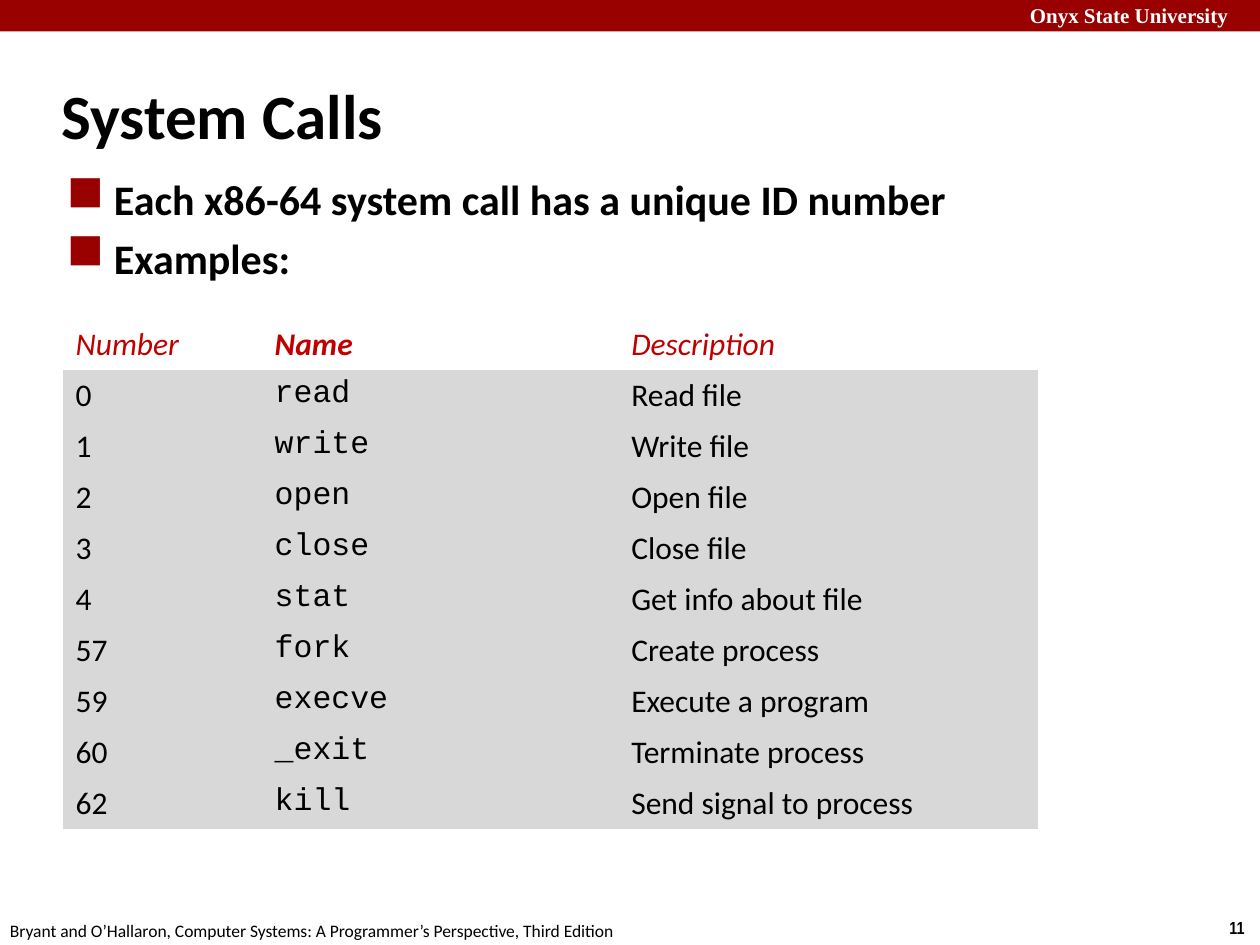
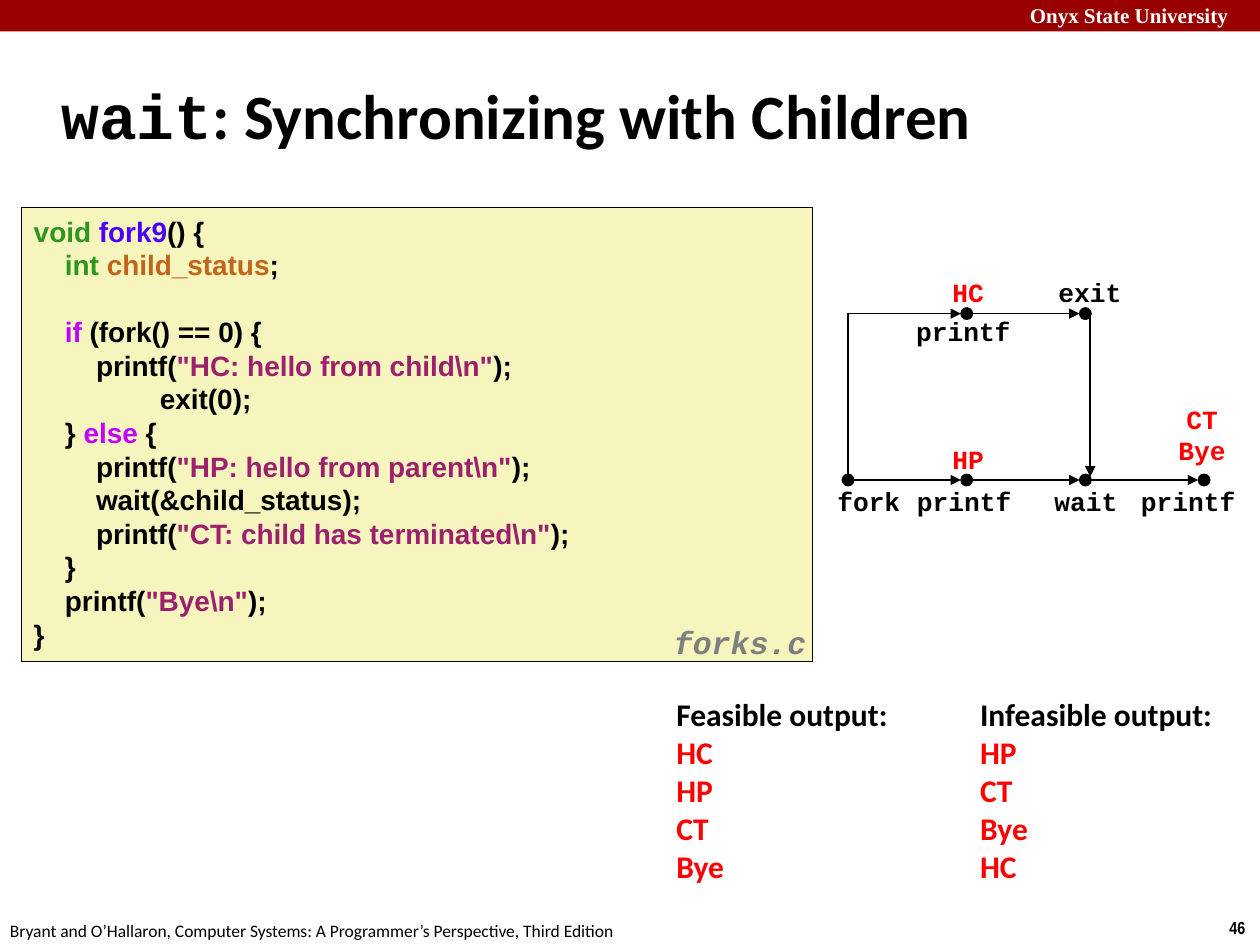
"""Builds two lecture slides on system calls and on waiting for child processes."""
from lxml import etree
from pptx import Presentation
from pptx.dml.color import RGBColor
from pptx.enum.shapes import MSO_CONNECTOR, MSO_SHAPE
from pptx.enum.text import MSO_ANCHOR, PP_ALIGN
from pptx.oxml.ns import qn
from pptx.util import Pt

LEFT, CENTER, RIGHT = PP_ALIGN.LEFT, PP_ALIGN.CENTER, PP_ALIGN.RIGHT
TOP, MIDDLE = MSO_ANCHOR.TOP, MSO_ANCHOR.MIDDLE
RECTANGLE, OVAL = MSO_SHAPE.RECTANGLE, MSO_SHAPE.OVAL
STRAIGHT = MSO_CONNECTOR.STRAIGHT

COLORS = {
    "black": "000000", "white": "FFFFFF", "band": "990000", "heading": "C00000",
    "row": "D8D8D8", "output": "FF0000", "code": "F6F5BD", "file": "7F7F7F",
    "type": "2D961E", "function": "4A00FF", "variable": "C1651C",
    "keyword": "C200FF", "string": "9D206F",
}
SANS, MONO = "Calibri", "Courier New"
PLAIN_TABLE = "{2D5ABB26-0587-4C30-8999-92F81FD0307C}"
UNIVERSITY = "Onyx State University"
CITATION = ("Bryant and O’Hallaron, Computer Systems: "
            "A Programmer’s Perspective, Third Edition")


def rgb(name):
    return RGBColor.from_string(COLORS[name])


def write(paragraph, text, size=18, font=SANS, color="black", bold=False,
          italic=False, align=LEFT, before=0, margin=0, indent=0, spacing=None,
          bullet=None):
    paragraph.alignment = align
    paragraph.space_before = Pt(before)
    if spacing:
        paragraph.line_spacing = spacing
    properties = paragraph._p.get_or_add_pPr()
    properties.set("marL", str(Pt(margin)))
    properties.set("indent", str(Pt(indent)))
    if bullet:
        tint = etree.SubElement(properties, qn("a:buClr"))
        etree.SubElement(tint, qn("a:srgbClr"), val=COLORS["band"])
        etree.SubElement(properties, qn("a:buSzPct"), val="120000")
        etree.SubElement(properties, qn("a:buFont"), typeface="Wingdings", charset="2")
        etree.SubElement(properties, qn("a:buChar"), char=bullet)
    pieces = [(text, {})] if isinstance(text, str) else text
    for words, changes in pieces:
        run = paragraph.add_run()
        run.text = words
        run.font.size, run.font.bold, run.font.italic = Pt(size), bold, italic
        run.font.name = changes.get("font", font)
        run.font.color.rgb = rgb(changes.get("color", color))


class Deck:
    """Holds the shared style and the slide being built."""

    def __init__(self):
        self.presentation = Presentation()
        self.presentation.slide_width = Pt(720)
        self.presentation.slide_height = Pt(540)
        self.slide = None

    def start(self, number, title):
        blank = self.presentation.slide_layouts[6]
        self.slide = self.presentation.slides.add_slide(blank)
        self.shape(RECTANGLE, 0, 0, 720, 18, "band")
        self.text(548.9, -2, 160, 21.6, [UNIVERSITY], size=12,
                  font="Times New Roman", color="white", bold=True, align=RIGHT)
        self.text(695.5, 520.6, 24.5, 19.4, [number], wrap=False, size=10,
                  font="Arial Narrow", bold=True)
        self.text(-1.4, 522, 370, 18, [CITATION], size=10)
        self.text(28, 35.3, 597.6, 59.8, [title], anchor=MIDDLE, size=36,
                  bold=True, margin=9, indent=-9)

    def fill_frame(self, frame, lines, anchor=TOP, wrap=True, **style):
        frame.word_wrap = wrap
        frame.vertical_anchor = anchor
        for index, line in enumerate(lines):
            text, changes = line if isinstance(line, tuple) else (line, {})
            paragraph = frame.add_paragraph() if index else frame.paragraphs[0]
            write(paragraph, text, **{**style, **changes})

    def text(self, left, top, width, height, lines, **style):
        box = self.slide.shapes.add_textbox(Pt(left), Pt(top), Pt(width), Pt(height))
        self.fill_frame(box.text_frame, lines, **style)

    def shape(self, preset, left, top, width, height, fill, outline=0):
        shape = self.slide.shapes.add_shape(
            preset, Pt(left), Pt(top), Pt(width), Pt(height))
        shape.shadow.inherit = False
        shape.fill.solid()
        shape.fill.fore_color.rgb = rgb(fill)
        if outline:
            shape.line.color.rgb = rgb("black")
            shape.line.width = Pt(outline)
        else:
            shape.line.fill.background()
        return shape

    def dot(self, x, y, radius=3.3):
        self.shape(OVAL, x - radius, y - radius, 2 * radius, 2 * radius, "black", 0.75)

    def point_arrow(self, line):
        line.color.rgb = rgb("black")
        line.width = Pt(1)
        etree.SubElement(line._get_or_add_ln(), qn("a:tailEnd"), type="triangle")

    def arrow(self, x1, y1, x2, y2):
        connector = self.slide.shapes.add_connector(
            STRAIGHT, Pt(x1), Pt(y1), Pt(x2), Pt(y2))
        self.point_arrow(connector.line)
        etree.SubElement(connector._element.spPr, qn("a:effectLst"))

    def bent_arrow(self, start, *turns):
        builder = self.slide.shapes.build_freeform(Pt(start[0]), Pt(start[1]))
        builder.add_line_segments([(Pt(x), Pt(y)) for x, y in turns], close=False)
        bend = builder.convert_to_shape()
        bend.shadow.inherit = False
        bend.fill.background()
        self.point_arrow(bend.line)

    def label(self, center, top, *lines, color="black"):
        self.text(center - 36, top, 72, 8 + 17 * len(lines), lines, size=15,
                  font=MONO, color=color, bold=True, align=CENTER)

    def table(self, left, top, widths, row_height, rows, styles):
        table = self.slide.shapes.add_table(
            len(rows), len(widths), Pt(left), Pt(top), Pt(sum(widths)),
            Pt(row_height * len(rows))).table
        table._tbl.tblPr.find(qn("a:tableStyleId")).text = PLAIN_TABLE
        for column, width in zip(table.columns, widths):
            column.width = Pt(width)
        for r, row in enumerate(rows):
            table.rows[r].height = Pt(row_height)
            for c, value in enumerate(row):
                cell = table.cell(r, c)
                cell.fill.solid()
                cell.fill.fore_color.rgb = rgb("row" if r else "white")
                style = styles[c] if r else dict(
                    color="heading", italic=True, bold=value == "Name")
                write(cell.text_frame.paragraphs[0], value, **style)


def token(text, color="black"):
    return text, {"color": color}


def code_line(level, *tokens, before=0):
    return list(tokens), {"margin": 17.8 * level, "before": before}


def print_line(level, message):
    return code_line(level, token("printf("), token(f'"{message}\\n"', "string"),
                     token(");"))


SYSTEM_CALLS = [
    ("Number", "Name", "Description"),
    ("0", "read", "Read file"),
    ("1", "write", "Write file"),
    ("2", "open", "Open file"),
    ("3", "close", "Close file"),
    ("4", "stat", "Get info about file"),
    ("57", "fork", "Create process"),
    ("59", "execve", "Execute a program"),
    ("60", "_exit", "Terminate process"),
    ("62", "kill", "Send signal to process"),
]
FORK_CODE = [
    code_line(0, token("void ", "type"), token("fork9", "function"), token("() {")),
    code_line(1, token("int ", "type"), token("child_status", "variable"), token(";")),
    code_line(1, token("if", "keyword"), token(" (fork() == 0) {"), before=19.2),
    print_line(2, "HC: hello from child"),
    code_line(4.05, token("exit(0);")),
    code_line(1, token("} "), token("else", "keyword"), token(" {")),
    print_line(2, "HP: hello from parent"),
    code_line(2, token("wait(&child_status);")),
    print_line(2, "CT: child has terminated"),
    code_line(1, token("}")),
    print_line(1, "Bye"),
    code_line(0, token("}")),
]
OUTPUTS = [
    (379.4, "Feasible output:", ["HC", "HP", "CT", "Bye"]),
    (553, "Infeasible output:", ["HP", "CT", "Bye", "HC"]),
]


def build_system_calls(deck):
    deck.start("11", "System Calls")
    deck.table(36, 182.2, [113.8, 203.8, 239.8], 29.16, SYSTEM_CALLS,
               [{}, {"font": MONO}, {}])
    points = ["Each x86-64 system call has a unique ID number",
              ("Examples:", {"before": 4.8})]
    deck.text(31, 95.8, 622, 80, points, size=24, bold=True, margin=27,
              indent=-27, bullet="n")


def build_process_graph(deck):
    fork_x, printf_x, wait_x, end_x = (484.6 + 67.8 * step for step in range(4))
    child_y, parent_y, radius = 179.2, 274.3, 3.3
    for x in (printf_x, wait_x):
        deck.dot(x, child_y)
    for x in (fork_x, printf_x, wait_x, end_x):
        deck.dot(x, parent_y)
    for start, end, y in ((printf_x, wait_x, child_y), (fork_x, printf_x, parent_y),
                          (printf_x, wait_x, parent_y), (wait_x, end_x, parent_y)):
        deck.arrow(start + radius, y, end - radius, y)
    deck.bent_arrow((fork_x, parent_y - radius), (fork_x, child_y),
                    (printf_x - radius, child_y))
    deck.arrow(wait_x + 2.8, child_y, wait_x + 2.8, parent_y - 2)
    for center, name in ((496.5, "fork"), (551, "printf"), (620.6, "wait"),
                         (679, "printf")):
        deck.label(center, parent_y - 0.7, name)
    deck.label(550.5, child_y - 2.8, "printf")
    deck.label(622.8, child_y - 24.6, "exit")
    deck.label(553.3, child_y - 24.6, "HC", color="output")
    deck.label(553.3, parent_y - 24.6, "HP", color="output")
    deck.label(686.9, parent_y - 47.5, "CT", "Bye", color="output")


def build_wait(deck):
    deck.start("46", [("wait", {"font": MONO}), (": Synchronizing with Children", {})])
    listing = deck.shape(RECTANGLE, 12.2, 118.8, 452.2, 259.2, "code", 0.75)
    deck.fill_frame(listing.text_frame, FORK_CODE, size=16, font="Arial", bold=True)
    build_process_graph(deck)
    deck.text(378, 354.2, 95, 28, ["forks.c"], font=MONO, color="file", bold=True,
              italic=True, spacing=0.94)
    for left, heading, lines in OUTPUTS:
        deck.text(left, 393.8, 149, 116.6,
                  [heading] + [(line, {"color": "output"}) for line in lines],
                  bold=True)


deck = Deck()
build_system_calls(deck)
build_wait(deck)
deck.presentation.save("out.pptx")
